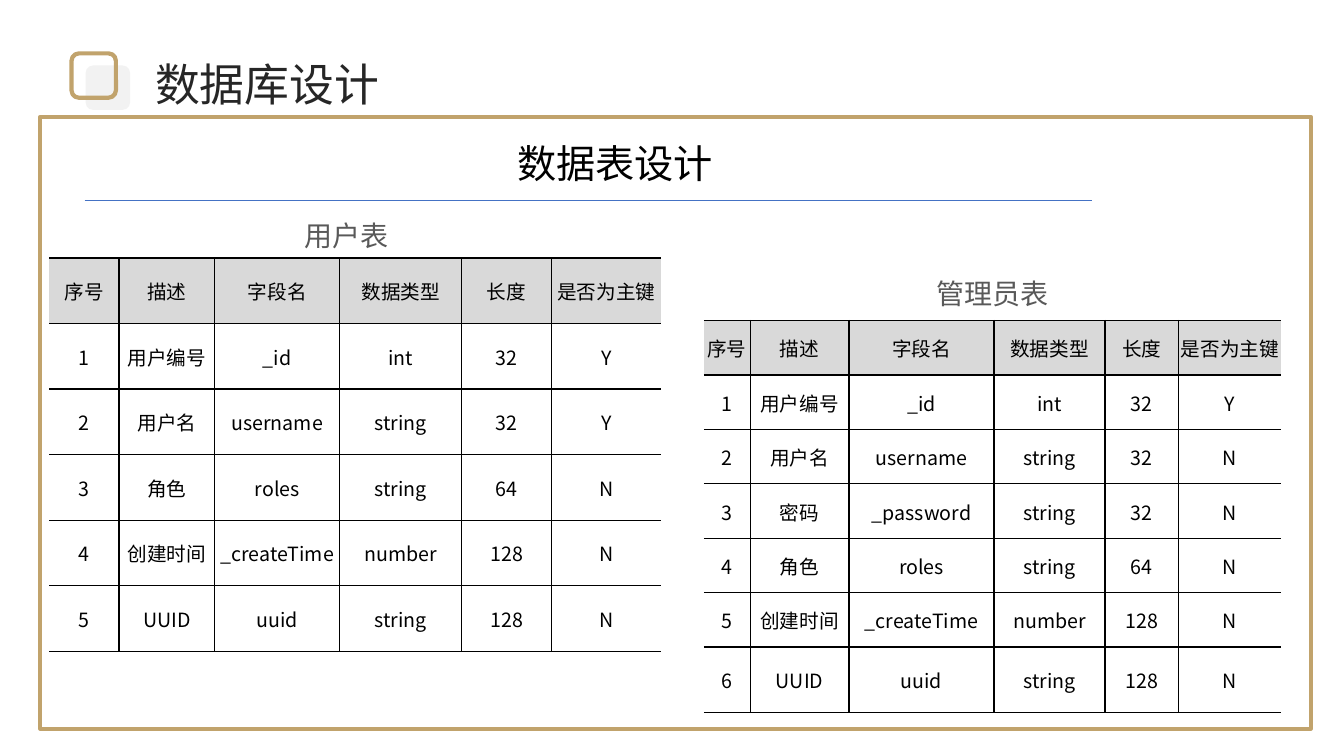
from dataclasses import dataclass

from lxml import etree
from pptx import Presentation
from pptx import util as u
from pptx.dml.color import RGBColor
from pptx.enum import shapes, text
from pptx.oxml.ns import qn


@dataclass(frozen=True)
class Theme:
    gold: str = "C1A36C"
    blue: str = "4472C4"
    pale: str = "F2F2F2"
    header: str = "D9D9D9"
    ink: str = "000000"
    heading: str = "262626"
    caption: str = "595959"
    font: str = "Noto Sans CJK SC"
    caption_font: str = "Arial"
    heading_size: int = 32
    title_size: int = 28
    caption_size: int = 20
    cell_size: int = 14
    frame_width: float = 3
    rule_width: float = 0.5
    border_width: float = 1


HEADER = ("序号", "描述", "字段名", "数据类型", "长度", "是否为主键")
USER_FIELDS = (
    ("用户编号", "_id", "int", "32", "Y"),
    ("用户名", "username", "string", "32", "Y"),
    ("角色", "roles", "string", "64", "N"),
    ("创建时间", "_createTime", "number", "128", "N"),
    ("UUID", "uuid", "string", "128", "N"),
)
ADMIN_FIELDS = (
    ("用户编号", "_id", "int", "32", "Y"),
    ("用户名", "username", "string", "32", "N"),
    ("密码", "_password", "string", "32", "N"),
    ("角色", "roles", "string", "64", "N"),
    ("创建时间", "_createTime", "number", "128", "N"),
    ("UUID", "uuid", "string", "128", "N"),
)


def write(frame, words, *, size, color, font, align=text.PP_ALIGN.CENTER):
    paragraph = frame.paragraphs[0]
    paragraph.alignment = align
    run = paragraph.add_run()
    run.text = words
    run.font.size = u.Pt(size)
    run.font.color.rgb = RGBColor.from_string(color)
    run.font.name = font
    # East Asian glyphs take their typeface from a separate element.
    etree.SubElement(run.font._element, qn("a:ea"), typeface=font)


def set_borders(cell, hidden, color, width):
    """Draw the four edges of a cell, leaving out those in hidden (L, R, T, B)."""
    properties = cell._tc.get_or_add_tcPr()
    for index, side in enumerate("LRTB"):
        edge = etree.Element(qn(f"a:ln{side}"), w=str(u.Pt(width)))
        if side in hidden:
            etree.SubElement(edge, qn("a:noFill"))
        else:
            fill = etree.SubElement(edge, qn("a:solidFill"))
            etree.SubElement(fill, qn("a:srgbClr"), val=color)
        properties.insert(index, edge)


class SlideBuilder:
    def __init__(self, slide, theme):
        self.slide = slide
        self.theme = theme

    def shape(self, kind, box, *, fill=None, line=None, parent=None):
        owner = parent or self.slide
        item = owner.shapes.add_shape(kind, *map(u.Inches, box))
        item.shadow.inherit = False
        if fill:
            item.fill.solid()
            item.fill.fore_color.rgb = RGBColor.from_string(fill)
        else:
            item.fill.background()
        if line:
            item.line.color.rgb = RGBColor.from_string(line)
            item.line.width = u.Pt(self.theme.frame_width)
        else:
            item.line.fill.background()

    def emblem(self):
        group = self.slide.shapes.add_group_shape()
        rounded = shapes.MSO_SHAPE.ROUNDED_RECTANGLE
        self.shape(rounded, (0.85, 0.65, 0.44, 0.44), fill=self.theme.pale, parent=group)
        self.shape(rounded, (0.71, 0.53, 0.44, 0.44), line=self.theme.gold, parent=group)

    def label(self, words, box, *, wrap=True, **style):
        frame = self.slide.shapes.add_textbox(*map(u.Inches, box)).text_frame
        frame.word_wrap = wrap
        frame.auto_size = text.MSO_AUTO_SIZE.SHAPE_TO_FIT_TEXT
        write(frame, words, **style)

    def caption(self, words, left, top):
        theme = self.theme
        self.label(words, (left, top, 6.07, 0.44), size=theme.caption_size,
                   color=theme.caption, font=theme.caption_font)

    def rule(self, left, right, y):
        line = self.slide.shapes.add_connector(
            shapes.MSO_CONNECTOR.STRAIGHT, *map(u.Inches, (left, y, right, y)))
        line.line.color.rgb = RGBColor.from_string(self.theme.blue)
        line.line.width = u.Pt(self.theme.rule_width)
        etree.SubElement(line._element.spPr, qn("a:effectLst"))

    def field_table(self, fields, left, top, widths, heights):
        rows = [HEADER] + [(str(n), *field) for n, field in enumerate(fields, 1)]
        box = (left, top, sum(widths), sum(heights))
        table = self.slide.shapes.add_table(
            len(rows), len(HEADER), *map(u.Inches, box)).table
        table.first_row = table.horz_banding = False
        for column, width in zip(table.columns, widths):
            column.width = u.Inches(width)
        for row, height in zip(table.rows, heights):
            row.height = u.Inches(height)
        for r, row in enumerate(rows):
            for c, words in enumerate(row):
                self.cell(table.cell(r, c), words, is_header=r == 0,
                          hidden={0: "L", len(row) - 1: "R"}.get(c, ""))

    def cell(self, cell, words, *, is_header, hidden):
        theme = self.theme
        cell.margin_left = cell.margin_right = cell.margin_top = u.Inches(0.01)
        cell.margin_bottom = 0
        cell.vertical_anchor = text.MSO_ANCHOR.MIDDLE
        if is_header:
            cell.fill.solid()
            cell.fill.fore_color.rgb = RGBColor.from_string(theme.header)
        else:
            cell.fill.background()
        set_borders(cell, hidden, theme.ink, theme.border_width)
        write(cell.text_frame, words, size=theme.cell_size, color=theme.ink, font=theme.font)


def main():
    deck = Presentation()
    deck.slide_width, deck.slide_height = u.Inches(13.33), u.Inches(7.5)
    theme = Theme()
    page = SlideBuilder(deck.slides.add_slide(deck.slide_layouts[6]), theme)

    page.emblem()
    page.shape(shapes.MSO_SHAPE.RECTANGLE, (0.4, 1.16, 12.6, 6.07), line=theme.gold)
    page.label("数据表设计", (0.57, 1.33, 11.06, 0.57),
               size=theme.title_size, color=theme.ink, font=theme.font)
    page.label("数据库设计", (1.44, 0.51, 2.45, 0.64), wrap=False, size=theme.heading_size,
               color=theme.heading, font=theme.font, align=text.PP_ALIGN.LEFT)
    page.rule(0.84, 10.83, 1.99)

    page.caption("用户表", 0.4, 2.12)
    page.caption("管理员表", 6.81, 2.69)
    page.field_table(USER_FIELDS, 0.49, 2.56,
                     (0.69, 0.95, 1.24, 1.21, 0.89, 1.09), [0.65] * 6)
    page.field_table(ADMIN_FIELDS, 6.98, 3.18,
                     (0.46, 0.98, 1.44, 1.1, 0.73, 1.02), [0.54] * 6 + [0.65])
    deck.save("out.pptx")


if __name__ == "__main__":
    main()
